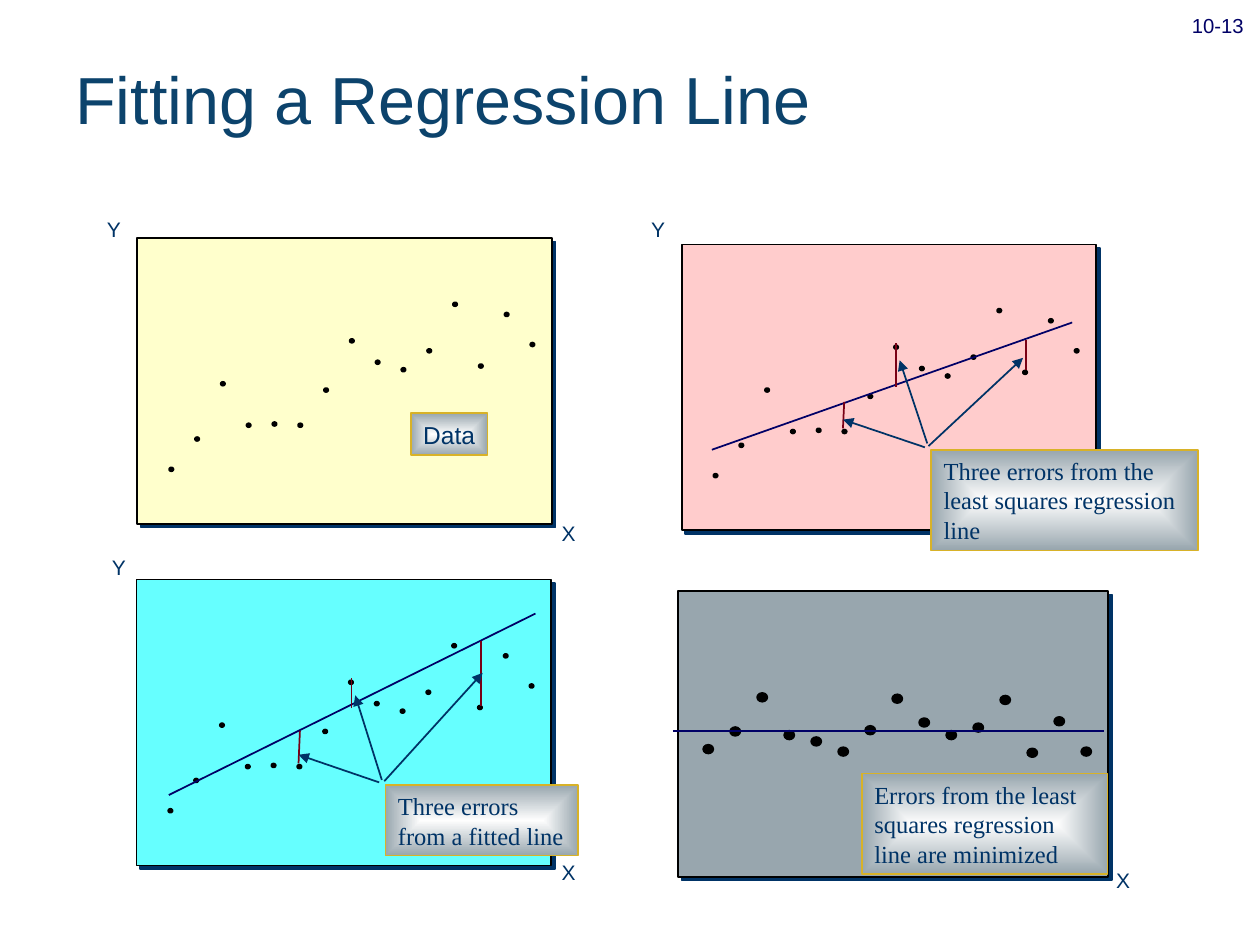
from dataclasses import dataclass

from lxml import etree
from pptx import Presentation
from pptx.dml.color import RGBColor as RGB
from pptx.enum.shapes import MSO_CONNECTOR as LINE, MSO_SHAPE as SHAPE
from pptx.enum.text import MSO_ANCHOR as ANCHOR, PP_ALIGN as ALIGN
from pptx.oxml import parse_xml
from pptx.oxml.ns import nsdecls, qn
from pptx.util import Pt


@dataclass(frozen=True)
class Theme:
    title: RGB = RGB(0x0C, 0x43, 0x6C)
    text: RGB = RGB(0x00, 0x33, 0x66)
    fit: RGB = RGB(0x00, 0x00, 0x66)
    error: RGB = RGB(0x79, 0x00, 0x15)
    black: RGB = RGB(0, 0, 0)
    gold: RGB = RGB(0xD8, 0xB2, 0x28)
    glow: RGB = RGB(0xFE, 0xFE, 0xFE)
    grey: RGB = RGB(0x98, 0xA6, 0xAE)
    yellow: RGB = RGB(0xFF, 0xFF, 0xCC)
    pink: RGB = RGB(0xFF, 0xCC, 0xCC)
    cyan: RGB = RGB(0x66, 0xFF, 0xFF)
    sans: str = "Arial"
    serif: str = "Times New Roman"
    title_size: int = 38
    number_size: int = 20
    callout_size: int = 14
    axis_size: int = 12


theme = Theme()
prs = Presentation()
prs.slide_width, prs.slide_height = Pt(720), Pt(540)
slide = prs.slides.add_slide(prs.slide_layouts[6])
shapes = slide.shapes


def write(holder, text, size, color, font=theme.sans, wrap=True,
          anchor=ANCHOR.TOP, align=ALIGN.LEFT):
    """Put one styled run into the holder and return that run."""
    frame = holder.text_frame
    frame.word_wrap = wrap
    frame.vertical_anchor = anchor
    paragraph = frame.paragraphs[0]
    paragraph.alignment = align
    run = paragraph.add_run()
    run.text = text
    run.font.size = Pt(size)
    run.font.name = font
    run.font.color.rgb = color
    return run


def draw_line(ends, color, arrow=False):
    """Draw a line between two points, with an arrowhead at the first if asked."""
    line = shapes.add_connector(LINE.STRAIGHT, *map(Pt, ends))
    line.line.color.rgb = color
    line.line.width = Pt(1)
    etree.SubElement(line._element.spPr, qn("a:effectLst"))
    if arrow:
        etree.SubElement(line.line._get_or_add_ln(), qn("a:headEnd"), type="triangle")


title = shapes.add_textbox(Pt(36), Pt(10.8), Pt(667.5), Pt(90))
write(title, "Fitting a Regression Line", theme.title_size, theme.title,
      anchor=ANCHOR.MIDDLE)

# Dot heights below the panel top, at equal steps along x
sample = [132.1, 114.8, 83.2, 106.9, 106.2, 106.9, 86.8, 58.7,
          70.9, 75.2, 64.4, 37.8, 73.1, 43.6, 60.8]
residuals = [90.4, 80.3, 60.8, 82.4, 86, 91.8, 79.6, 61.6,
             75.2, 82.4, 78.1, 62.3, 92.5, 74.5, 91.8]
sample_dots = dict(heights=sample, first=19.4, step=14.74, dot=(2.5, 2.2))
residual_dots = dict(heights=residuals, first=17.3, step=15.43, dot=(5.8, 5))

panels = [
    dict(box=(78.5, 136.1, 237, 163.4), fill=theme.yellow, **sample_dots,
         axes=[("X", 313.9, 293.8), ("Y", 54, 120.2)],
         fit=[], errors=[], arrows=[],
         callout=("Data", theme.sans, False, (234.7, 236.2, 43.9, 23.8))),
    dict(box=(78, 331.2, 237, 163.4), fill=theme.cyan, **sample_dots,
         axes=[("X", 313.9, 487.4), ("Y", 56.9, 313.2)],
         fit=[(96.5, 454.3, 306, 350.6)],
         errors=[(275, 403.2, 275, 366.5), (200.9, 404.6, 200.9, 387.4),
                 (170.6, 436.3, 171.4, 417.6)],
         arrows=[(170.6, 431.3, 216.7, 447.1), (203, 397.4, 218.2, 445.7),
                 (275.8, 384.5, 219.6, 446.4)],
         callout=("Three errors from a fitted line", theme.serif, True,
                  (220.3, 448.6, 110.2, 40.3))),
    dict(box=(389.5, 139.7, 237, 163.4), fill=theme.pink, **sample_dots,
         axes=[("Y", 365, 120.2)],
         fit=[(406.8, 257, 612.7, 184.3)],
         errors=[(586.1, 211.7, 586.1, 194.4), (511.9, 221, 511.9, 195.8),
                 (481.7, 244.8, 482.4, 229.7)],
         arrows=[(481.7, 239.8, 528.5, 255.6), (514.1, 205.9, 529.9, 253.4),
                 (584.6, 204.5, 530.6, 254.9)],
         callout=("Three errors from the least squares regression line",
                  theme.serif, True, (532.1, 257, 152.6, 57.6))),
    dict(box=(387.4, 337.7, 246, 163.4), fill=theme.grey, **residual_dots,
         axes=[("X", 630.7, 492.5)],
         fit=[(384.5, 417.6, 630.7, 417.6)], errors=[], arrows=[],
         callout=("Errors from the least squares regression line are minimized",
                  theme.serif, True, (492.5, 442.1, 140.4, 57.6))),
]

for panel in panels:
    plot = shapes.add_shape(SHAPE.RECTANGLE, *map(Pt, panel["box"]))
    plot.fill.solid()
    plot.fill.fore_color.rgb = panel["fill"]
    plot.line.color.rgb = theme.black
    plot.line.width = Pt(1)
    plot._element.spPr.append(parse_xml(
        f'<a:effectLst {nsdecls("a")}>'
        f'<a:outerShdw dist="{Pt(2.8)}" dir="2700000" algn="ctr" rotWithShape="0">'
        f'<a:srgbClr val="{theme.text}"/></a:outerShdw></a:effectLst>'))

    for letter, x, y in panel["axes"]:
        axis = shapes.add_textbox(Pt(x), Pt(y), Pt(22.3), Pt(21.6))
        write(axis, letter, theme.axis_size, theme.text, wrap=False)

    left, top = panel["box"][:2]
    width, height = panel["dot"]
    for i, below in enumerate(panel["heights"]):
        x = left + panel["first"] + i * panel["step"] - width / 2
        y = top + below - height / 2
        dot = shapes.add_shape(SHAPE.OVAL, Pt(x), Pt(y), Pt(width), Pt(height))
        dot.shadow.inherit = False
        dot.fill.solid()
        dot.fill.fore_color.rgb = theme.black
        dot.line.color.rgb = theme.black
        dot.line.width = Pt(1)

    for ends in panel["fit"]:
        draw_line(ends, theme.fit)
    for ends in panel["errors"]:
        draw_line(ends, theme.error)

    message, font, wrap, place = panel["callout"]
    callout = shapes.add_shape(SHAPE.RECTANGLE, *map(Pt, place))
    callout.shadow.inherit = False
    callout.line.color.rgb = theme.gold
    callout.line.width = Pt(1)
    callout.fill.gradient()
    for stop, color in zip(callout.fill.gradient_stops, (theme.glow, theme.grey)):
        stop.color.rgb = color
    gradient = callout._element.spPr.find(qn("a:gradFill"))
    gradient.replace(gradient.find(qn("a:lin")), parse_xml(
        f'<a:path {nsdecls("a")} path="rect">'
        '<a:fillToRect l="50000" t="50000" r="50000" b="50000"/></a:path>'))
    write(callout, message, theme.callout_size, theme.text, font, wrap)

    for ends in panel["arrows"]:
        draw_line(ends, theme.text, arrow=True)

page = shapes.add_textbox(Pt(668.9), Pt(-9.4), Pt(54), Pt(34.6))
number = write(page, "10-13", theme.number_size, theme.fit, align=ALIGN.CENTER)
number._r.get_or_add_rPr().set("baseline", "-25000")
page.text_frame.paragraphs[0].space_before = Pt(12.5)

prs.save("out.pptx")
